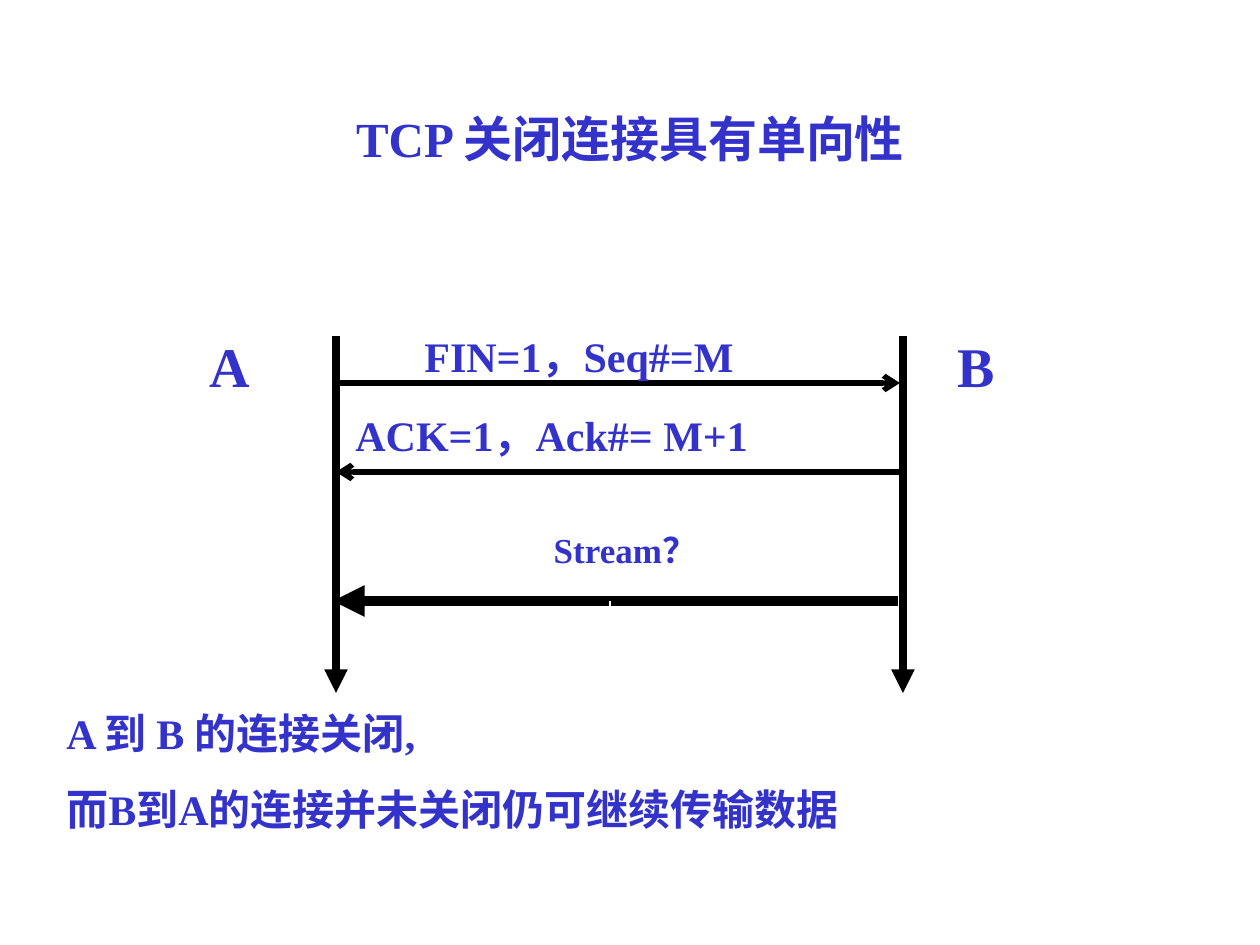
"""Build the slide on one-way closing of a TCP connection."""
from lxml import etree
from pptx import Presentation
from pptx.dml.color import RGBColor
from pptx.enum.dml import MSO_LINE
from pptx.enum.shapes import MSO_CONNECTOR
from pptx.enum.text import MSO_ANCHOR, MSO_AUTO_SIZE, PP_ALIGN
from pptx.oxml import parse_xml
from pptx.oxml.ns import nsdecls, qn
from pptx.util import Pt

LEFT, CENTER = PP_ALIGN.LEFT, PP_ALIGN.CENTER
MIDDLE = MSO_ANCHOR.MIDDLE
NO_FIT = MSO_AUTO_SIZE.NONE
STRAIGHT = MSO_CONNECTOR.STRAIGHT
LONG_DASH = MSO_LINE.LONG_DASH

PX = 914400 // 126
THEME = {
    "font": "Times New Roman",
    "text": RGBColor(0x33, 0x33, 0xCC),
    "line": RGBColor(0, 0, 0),
    "guide": RGBColor(255, 255, 255),
    "title": 28, "host": 32, "message": 24, "stream": 20,
}

prs = Presentation()
prs.slide_width, prs.slide_height = 1260 * PX, 945 * PX
s = prs.slides.add_slide(prs.slide_layouts[5])


def add_run(p, text, size):
    r = p.add_run()
    r.text = text
    r.font.name, r.font.size, r.font.bold = THEME["font"], Pt(size), True
    r.font.color.rgb = THEME["text"]
    return r


def add_line(x1, y1, x2, y2, width, color="line", head=None, tail=None):
    c = s.shapes.add_connector(STRAIGHT, x1 * PX, y1 * PX, x2 * PX, y2 * PX)
    c.line.width = Pt(width)
    c.line.color.rgb = THEME[color]
    ln = c.line._ln
    for tag, kind in (("a:headEnd", head), ("a:tailEnd", tail)):
        if kind:
            etree.SubElement(ln, qn(tag), type=kind)
    etree.SubElement(c._element.spPr, qn("a:effectLst"))
    return c


title = s.shapes.title
title.left, title.top, title.width, title.height = 0, 108 * PX, 1260 * PX, 115 * PX
tf = title.text_frame
tf.auto_size, tf.vertical_anchor = NO_FIT, MIDDLE
tf.margin_top, tf.margin_bottom = 0, 55 * PX
p = tf.paragraphs[0]
p.alignment = CENTER
r = add_run(p, "TCP 关闭连接具有单向性", THEME["title"])
shadow = parse_xml(
    f'<a:effectLst {nsdecls("a")}><a:outerShdw dist="25400" dir="2700000">'
    '<a:srgbClr val="C0C0C0"/></a:outerShdw></a:effectLst>')
r.font._element.find(qn("a:solidFill")).addnext(shadow)

for x in (336, 903):
    add_line(x, 336, x, 693, 4.5, tail="triangle")
add_line(333, 383, 900, 383, 3, tail="arrow")
add_line(336, 472, 903, 472, 3, head="arrow")
add_line(333, 601, 898, 601, 6, head="triangle")
guide = add_line(610, 601, 610, 701, 0.75, color="guide")
guide.line.dash_style = LONG_DASH

labels = [
    (412, 324, 410, 63, "message", LEFT, ["FIN=1，Seq#=M"]),
    (197, 325, 98, 81, "host", LEFT, ["A"]),
    (945, 325, 147, 81, "host", LEFT, ["B"]),
    (343, 403, 446, 63, "message", LEFT, ["ACK=1，Ack#= M+1"]),
    (54, 701, 1142, 140, "message", LEFT,
     ["A 到 B 的连接关闭,", "而B到A的连接并未关闭仍可继续传输数据"]),
    (412, 522, 427, 55, "stream", CENTER, ["Stream？"]),
]
for x, y, w, h, style, align, lines in labels:
    sp = s.shapes.add_textbox(x * PX, y * PX, w * PX, h * PX)
    tf = sp.text_frame
    tf.word_wrap = True
    for i, text in enumerate(lines):
        p = tf.add_paragraph() if i else tf.paragraphs[0]
        p.alignment = align
        if i:
            p.space_before = Pt(15)
        add_run(p, text, THEME[style])

prs.save("out.pptx")
